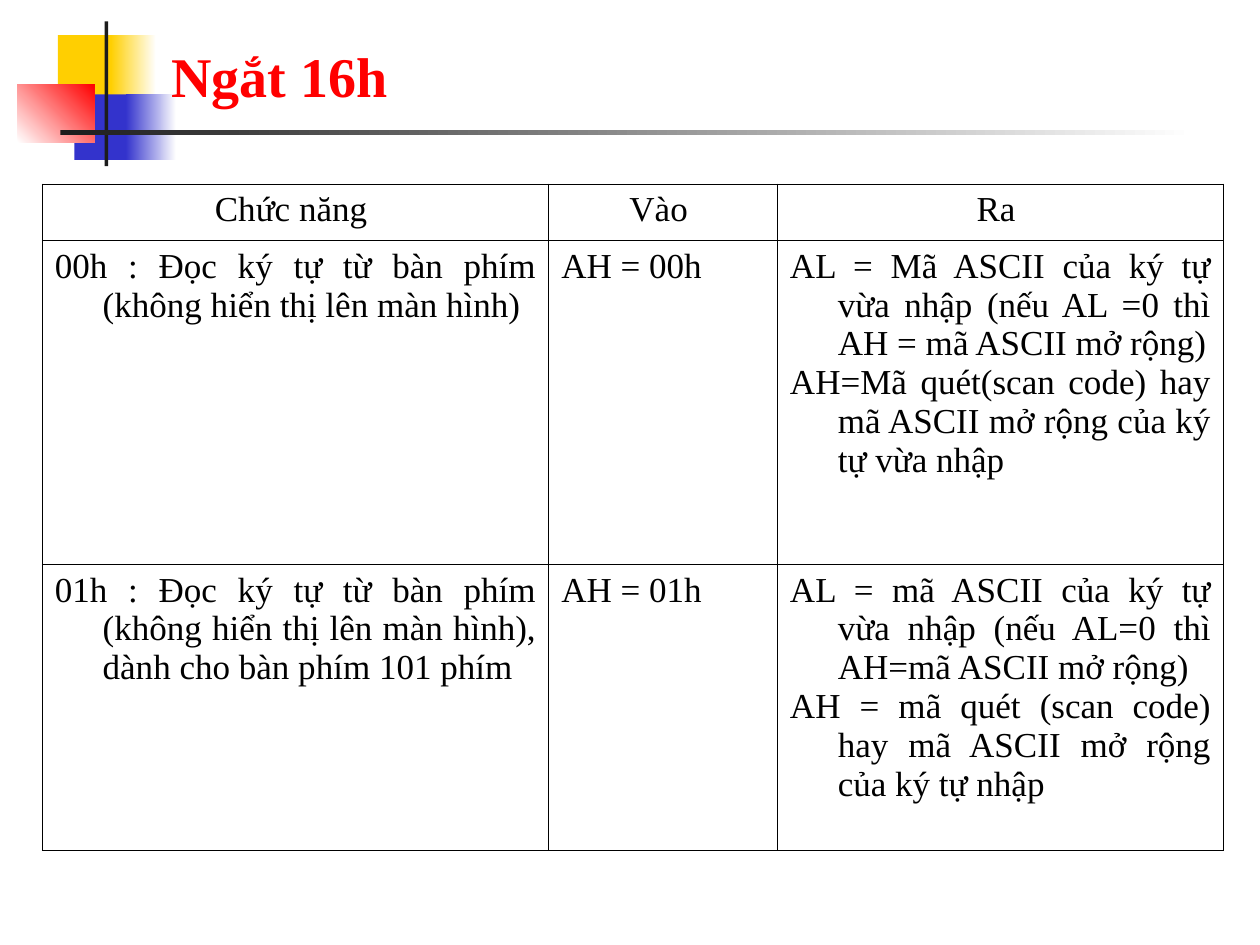
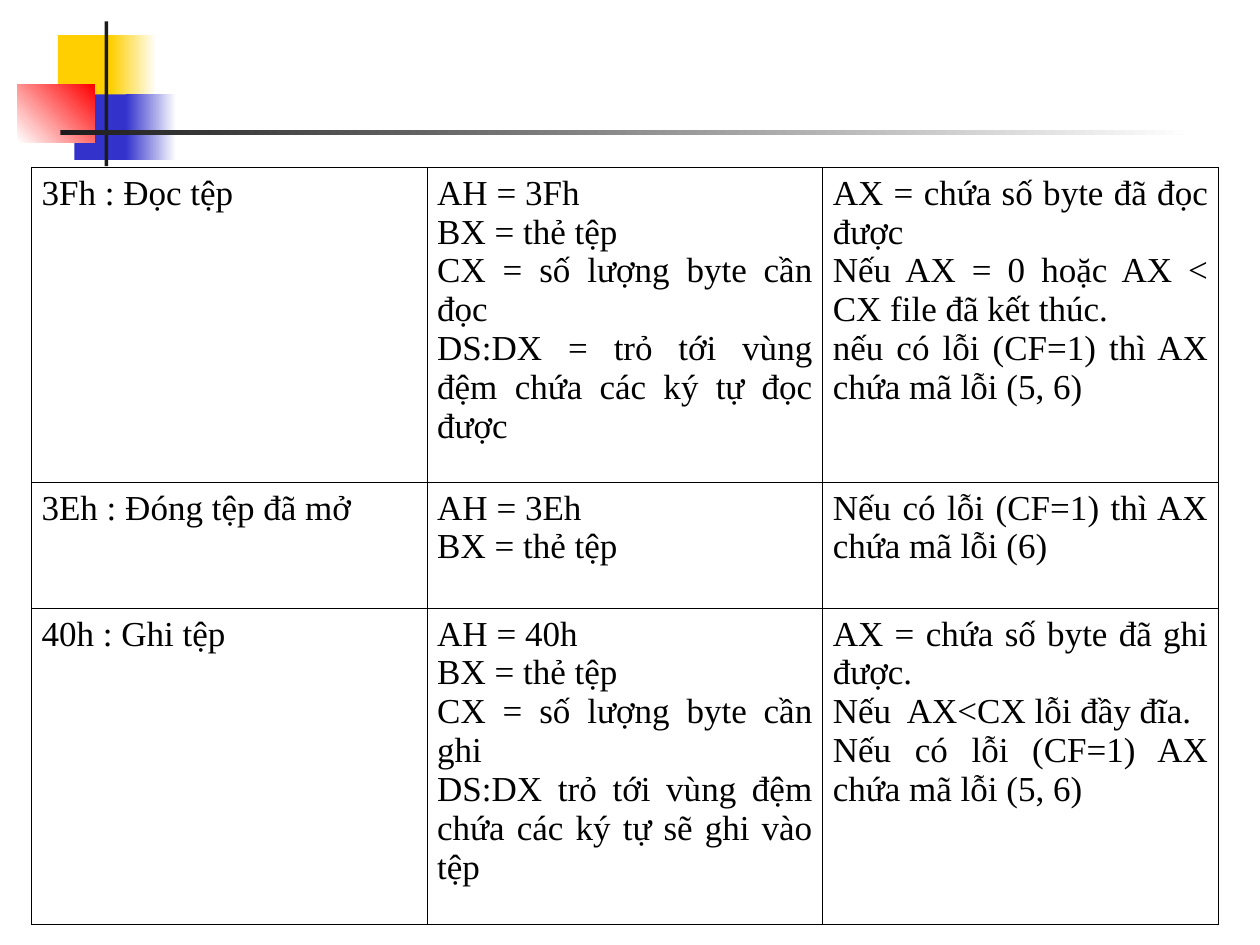
from lxml.etree import SubElement
from pptx import Presentation
from pptx.dml.color import RGBColor
from pptx.enum.shapes import MSO_SHAPE
from pptx.enum.text import MSO_ANCHOR, PP_ALIGN
from pptx.oxml import parse_xml
from pptx.oxml.ns import nsdecls
from pptx.util import Inches, Pt

GOLD, BLUE, RED = "FFCF01", "3333CC", "FF0000"
DARK, WHITE, BLACK = "1C1C1C", "FFFFFF", "000000"
FONT = "Times New Roman"

deck = Presentation()
deck.slide_width = Inches(10)
deck.slide_height = Inches(7.5)
wide = deck.slide_width / 100
high = deck.slide_height / 100


def ink(code):
    return RGBColor.from_string(code)


def write(para, text, size, code, bold=False):
    run = para.add_run()
    run.text = text
    run.font.name = FONT
    run.font.size = Pt(size)
    run.font.bold = bold
    run.font.color.rgb = ink(code)


# left, top, width, height in percent of the slide; start colour, end colour, angle
marks = [
    (4.6, 3.73, 4.8, 6.93, GOLD, None, 0),
    (8.8, 3.73, 3.6, 6.93, GOLD, WHITE, 0),
    (5.9, 10, 4.6, 6.93, BLUE, None, 0),
    (10, 10, 4, 6.93, BLUE, WHITE, 0),
    (1.4, 8.93, 6.1, 6.13, WHITE, RED, 45),
    (8.3, 2.27, 0.3, 15.33, DARK, None, 0),
    (4.8, 13.73, 90, 0.53, DARK, WHITE, 0),
]

keys = [
    ["Chức năng ", "Vào ", "Ra "],
    ["00h : Đọc ký tự từ bàn phím (không hiển thị lên màn hình) ",
     "AH = 00h",
     "AL = Mã ASCII của ký tự vừa nhập (nếu AL =0 thì AH = mã ASCII mở rộng)\n"
     "AH=Mã quét(scan code) hay mã ASCII mở rộng của ký tự vừa nhập"],
    ["01h : Đọc ký tự từ bàn phím (không hiển thị lên màn hình), dành cho bàn phím 101 phím",
     "AH = 01h",
     "AL = mã ASCII của ký tự vừa nhập (nếu AL=0 thì AH=mã ASCII mở rộng)\n"
     "AH = mã quét (scan code) hay mã ASCII mở rộng của ký tự nhập "],
]

files = [
    ["3Fh : Đọc tệp",
     "AH = 3Fh\nBX = thẻ tệp \nCX = số lượng byte cần đọc\n"
     "DS:DX = trỏ tới vùng đệm chứa các ký tự đọc được",
     "AX = chứa số byte đã đọc được\nNếu AX = 0 hoặc AX < CX file đã kết thúc.\n"
     "nếu có lỗi (CF=1) thì AX chứa mã lỗi (5, 6)"],
    ["3Eh : Đóng tệp đã mở",
     "AH = 3Eh\nBX = thẻ tệp",
     "Nếu có lỗi (CF=1) thì AX chứa mã lỗi (6)"],
    ["40h : Ghi tệp",
     "AH = 40h\nBX = thẻ tệp\nCX = số lượng byte cần ghi\n"
     "DS:DX trỏ tới vùng đệm chứa các ký tự sẽ ghi vào tệp",
     "AX = chứa số byte đã ghi được.\nNếu  AX<CX lỗi đầy đĩa.\n"
     "Nếu có lỗi (CF=1) AX chứa mã lỗi (5, 6)"],
]

# title, cells, left, top, columns, rows, side margin, hanging indent, header row
pages = [
    ("Ngắt 16h", keys, 3.35, 19.47, [40.2, 18.15, 35.4], [6, 34.27, 30.27], 0.1, 0.38, True),
    (None, files, 2.5, 17.73, [31.4] * 3, [33.33, 13.33, 33.47], 0.08, 0, False),
]

for title, cells, left, top, cols, rows, side, hang, head in pages:
    slide = deck.slides.add_slide(deck.slide_layouts[6])
    slide.background.fill.solid()
    slide.background.fill.fore_color.rgb = ink(WHITE)

    for x, y, w, h, start, end, angle in marks:
        mark = slide.shapes.add_shape(
            MSO_SHAPE.RECTANGLE, int(x * wide), int(y * high), int(w * wide), int(h * high))
        mark.shadow.inherit = False
        mark.line.fill.background()
        if end:
            mark.fill.gradient()
            mark.fill.gradient_angle = angle
            for stop, code in zip(mark.fill.gradient_stops, (start, end)):
                stop.color.rgb = ink(code)
        else:
            mark.fill.solid()
            mark.fill.fore_color.rgb = ink(start)

    if title:
        box = slide.shapes.add_textbox(
            int(12.6 * wide), int(3.07 * high), int(85.2 * wide), int(9.07 * high))
        box.text_frame.word_wrap = True
        box.text_frame.vertical_anchor = MSO_ANCHOR.BOTTOM
        write(box.text_frame.paragraphs[0], title, 32, RED, True)

    grid = slide.shapes.add_table(
        len(rows), len(cols), int(left * wide), int(top * high),
        int(sum(cols) * wide), int(sum(rows) * high)).table
    grid.first_row = False
    grid.horz_banding = False
    for col, w in zip(grid.columns, cols):
        col.width = int(w * wide)
    for row, h in zip(grid.rows, rows):
        row.height = int(h * high)

    for r, line in enumerate(cells):
        for c, text in enumerate(line):
            cell = grid.cell(r, c)
            cell.margin_left = cell.margin_right = Inches(side)
            cell.margin_top = cell.margin_bottom = Inches(0.05)
            props = cell._tc.get_or_add_tcPr()
            for edge in ("lnL", "lnR", "lnT", "lnB"):
                props.append(parse_xml(
                    f'<a:{edge} {nsdecls("a")} w="{Pt(0.45)}"><a:solidFill>'
                    f'<a:srgbClr val="{BLACK}"/></a:solidFill></a:{edge}>'))
            cell.fill.background()
            for n, part in enumerate(text.split("\n")):
                frame = cell.text_frame
                para = frame.add_paragraph() if n else frame.paragraphs[0]
                para.alignment = PP_ALIGN.CENTER if head and r == 0 else PP_ALIGN.JUSTIFY
                if hang:
                    form = para._p.get_or_add_pPr()
                    form.set("marL", str(Inches(hang)))
                    form.set("indent", str(-Inches(hang)))
                write(para, part, 20, BLACK)

deck.save("out.pptx")
